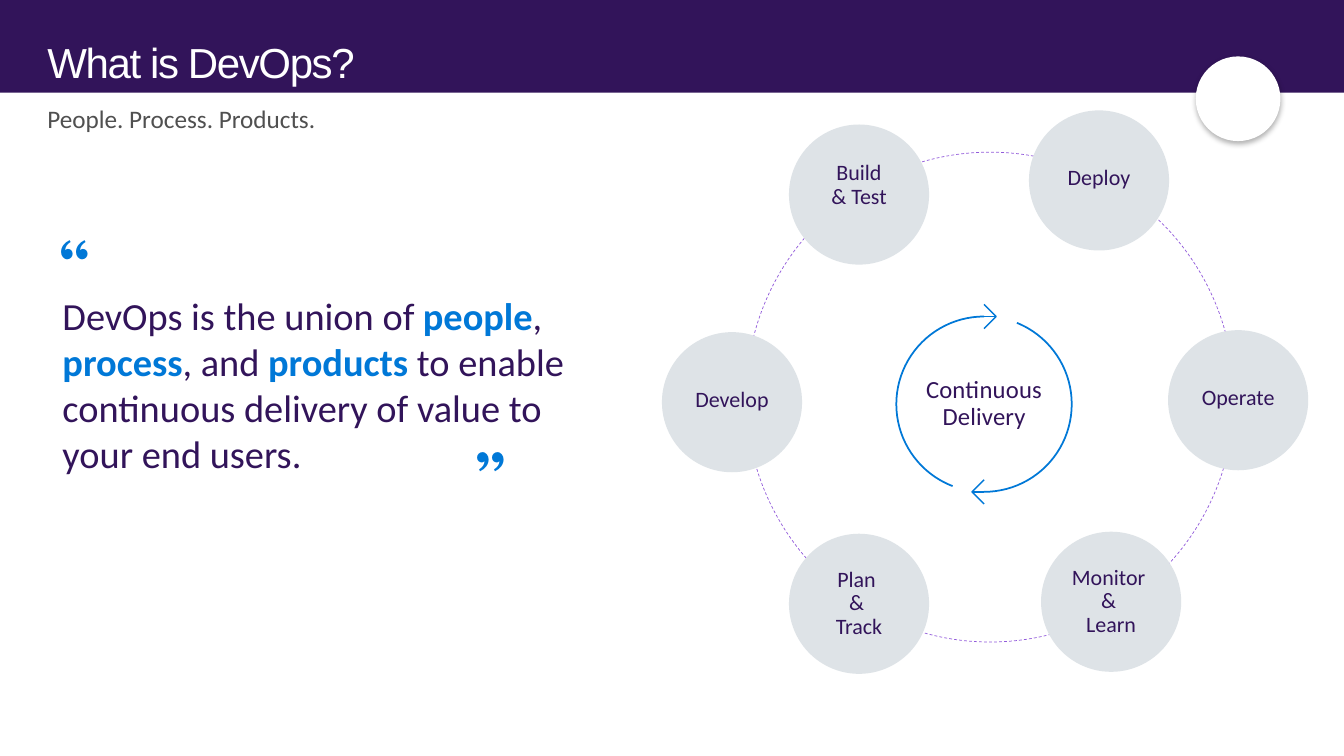
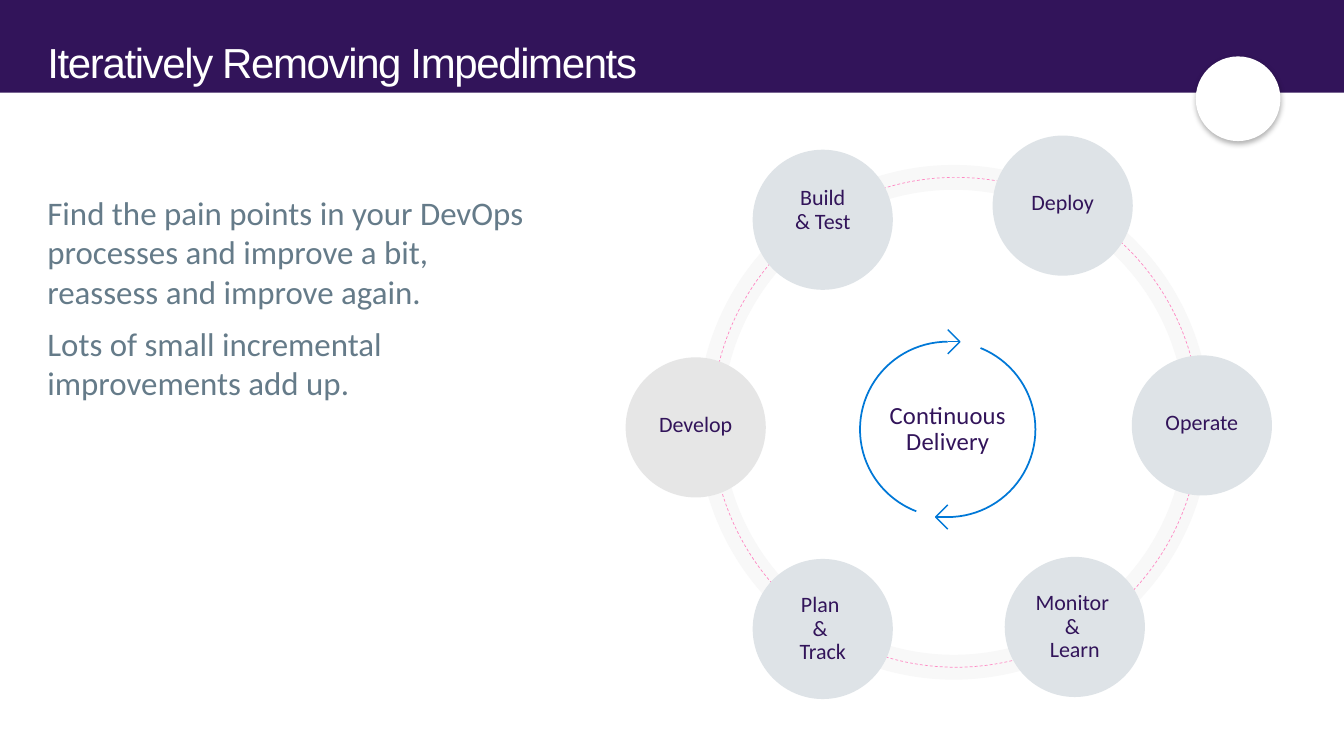
"""Build two DevOps slides around a continuous delivery wheel."""
from copy import deepcopy
from dataclasses import dataclass

from lxml import etree
from pptx import Presentation
from pptx.dml.color import RGBColor
from pptx.enum.dml import MSO_LINE
from pptx.enum.shapes import MSO_CONNECTOR, MSO_SHAPE
from pptx.enum.text import MSO_ANCHOR, MSO_AUTO_SIZE, PP_ALIGN
from pptx.oxml.ns import qn
from pptx.util import Inches, Pt

RECTANGLE, OVAL, ARC = MSO_SHAPE.RECTANGLE, MSO_SHAPE.OVAL, MSO_SHAPE.ARC
STRAIGHT = MSO_CONNECTOR.STRAIGHT
DASH = MSO_LINE.DASH
LEFT, CENTER = PP_ALIGN.LEFT, PP_ALIGN.CENTER
TOP, MIDDLE = MSO_ANCHOR.TOP, MSO_ANCHOR.MIDDLE
NO_FIT = MSO_AUTO_SIZE.NONE
TITLE_ONLY = 5


@dataclass(frozen=True)
class Theme:
    purple: str = "32145A"
    blue: str = "0078D7"
    white: str = "FFFFFF"
    gray: str = "505050"
    slate: str = "657B89"
    stage: str = "DEE3E7"
    stage_muted: str = "E6E6E6"
    ring_violet: str = "925BDB"
    ring_pink: str = "FF89C4"
    ring_band: str = "F8F8F8"
    heading_font: str = "Arial"
    body_font: str = "Calibri"
    quote_font: str = "TeX Gyre Bonum"
    title_size: float = 30
    subtitle_size: float = 18
    quote_size: float = 27.4
    mark_size: float = 62.7
    body_size: float = 23.5
    hub_size: float = 17.6
    stage_size: float = 15.7


THEME = Theme()


def write(frame, text, *, size, color=THEME.purple, font=THEME.body_font, align=LEFT,
          anchor=TOP, insets=(0, 0, 0, 0), wrap=True, leading=None, after=0, tracking=0):
    """Fill a frame with paragraphs; *starred* words are emphasised."""
    frame.word_wrap, frame.auto_size, frame.vertical_anchor = wrap, NO_FIT, anchor
    (frame.margin_left, frame.margin_top,
     frame.margin_right, frame.margin_bottom) = map(Inches, insets)
    for index, content in enumerate(text if isinstance(text, list) else [text]):
        paragraph = frame.add_paragraph() if index else frame.paragraphs[0]
        paragraph.alignment = align
        paragraph.space_after = Pt(after)
        if leading:
            paragraph.line_spacing = leading
        for line_number, line in enumerate(content.split("\n")):
            if line_number:
                paragraph.add_line_break()
            for part, words in enumerate(line.split("*")):
                run = paragraph.add_run()
                run.text = words
                emphasised = part % 2 == 1
                run.font.size, run.font.name, run.font.bold = Pt(size), font, emphasised
                run.font.color.rgb = RGBColor.from_string(THEME.blue if emphasised else color)
                if tracking:
                    run.font._element.set("spc", str(round(tracking * 100)))
        for line_break in paragraph._p.findall(qn("a:br")):
            line_break.append(deepcopy(run.font._element))


def paint(shape, fill=None, line=None, width=1, dash=None):
    """Set fill and outline, and drop the default shadow."""
    shape.shadow.inherit = False
    if fill:
        shape.fill.solid()
        shape.fill.fore_color.rgb = RGBColor.from_string(fill)
    else:
        shape.fill.background()
    if line:
        shape.line.color.rgb = RGBColor.from_string(line)
        shape.line.width = Pt(width)
        shape.line.dash_style = dash
    else:
        shape.line.fill.background()


deck = Presentation()
deck.slide_width, deck.slide_height = Inches(13.33), Inches(7.5)
layout = deck.slide_layouts[TITLE_ONLY]
layout_title = layout.placeholders[0]
layout_title.left, layout_title.top = Inches(0.47), Inches(0.24)
layout_title.width, layout_title.height = Inches(12.4), Inches(0.81)

wheels = [
    {"title": "What is DevOps?", "hub": (9.76, 4.01), "develop": THEME.stage,
     "rings": [(0.06, THEME.ring_violet, 0.5, DASH)]},
    {"title": "Iteratively Removing Impediments", "hub": (9.4, 4.26),
     "develop": THEME.stage_muted,
     "rings": [(0.06, THEME.ring_band, 17.75, None), (0.08, THEME.ring_pink, 0.5, DASH)]},
]
stages = [
    ("Build\n& Test", -1.24, -2.08, 0.18),
    ("Deploy", 1.14, -2.22, 0.04),
    ("Operate", 2.52, -0.04, 0.04),
    ("Monitor \n& \nLearn", 1.26, 1.96, 0),
    ("Plan \n& \nTrack", -1.24, 1.98, 0),
    ("Develop", -2.5, -0.02, 0.04),
]
STAGE_SIZE = 1.39
RING_WIDTH, RING_HEIGHT, RING_RISE = 4.84, 4.86, 0.07
HUB_RADIUS = 0.87
HUB_LABEL_WIDTH, HUB_LABEL_HEIGHT = 1.81, 1.22
ARROW_LENGTH, ARROW_HALF = 0.12, 0.12
ARC_UNITS_PER_DEGREE = 0.6

for wheel in wheels:
    slide = deck.slides.add_slide(layout)
    shapes = slide.shapes
    write(shapes.title.text_frame, wheel["title"], size=THEME.title_size, color=THEME.white,
          font=THEME.heading_font, insets=(0, 0.18, 0, 0), leading=0.9, tracking=-1)
    hub_x, hub_y = wheel["hub"]

    for shift, color, width, dash in wheel["rings"]:
        ring = shapes.add_shape(
            OVAL, Inches(hub_x + shift - RING_WIDTH / 2),
            Inches(hub_y - RING_RISE - RING_HEIGHT / 2), Inches(RING_WIDTH), Inches(RING_HEIGHT))
        paint(ring, line=color, width=width, dash=dash)

    hub_label = shapes.add_textbox(
        Inches(hub_x - HUB_LABEL_WIDTH / 2), Inches(hub_y - HUB_LABEL_HEIGHT / 2),
        Inches(HUB_LABEL_WIDTH), Inches(HUB_LABEL_HEIGHT))
    write(hub_label.text_frame, "Continuous\nDelivery", size=THEME.hub_size, align=CENTER,
          anchor=MIDDLE, leading=0.9, tracking=0.1)

    for direction, start, end in ((1, 111, 270), (-1, 292, 90)):
        arc = shapes.add_shape(ARC, Inches(hub_x - HUB_RADIUS), Inches(hub_y - HUB_RADIUS),
                               Inches(2 * HUB_RADIUS), Inches(2 * HUB_RADIUS))
        arc.adjustments[0] = start * ARC_UNITS_PER_DEGREE
        arc.adjustments[1] = end * ARC_UNITS_PER_DEGREE
        paint(arc, line=THEME.blue, width=1.25)

        arrow_y = hub_y - direction * HUB_RADIUS
        tip_x = hub_x + direction * ARROW_LENGTH
        outline = shapes.build_freeform(Inches(hub_x), Inches(arrow_y - ARROW_HALF))
        outline.add_line_segments([(Inches(tip_x), Inches(arrow_y)),
                                   (Inches(hub_x), Inches(arrow_y + ARROW_HALF))], close=False)
        paint(outline.convert_to_shape(), line=THEME.blue)
        shaft = shapes.add_connector(STRAIGHT, Inches(hub_x), Inches(arrow_y),
                                     Inches(tip_x), Inches(arrow_y))
        shaft.line.color.rgb = RGBColor.from_string(THEME.blue)
        shaft.line.width = Pt(1)
        etree.SubElement(shaft._element.spPr, qn("a:effectLst"))

    for name, across, down, lift in stages:
        stage = shapes.add_shape(
            OVAL, Inches(hub_x + across - STAGE_SIZE / 2), Inches(hub_y + down - STAGE_SIZE / 2),
            Inches(STAGE_SIZE), Inches(STAGE_SIZE))
        paint(stage, fill=wheel["develop"] if name == "Develop" else THEME.stage)
        write(stage.text_frame, name, size=THEME.stage_size, align=CENTER, anchor=MIDDLE,
              insets=(0, 0, 0, lift), leading=0.9)

definition, improvement = deck.slides
mark_format = {"size": THEME.mark_size, "color": THEME.blue, "font": THEME.quote_font,
               "insets": (0.1, 0.05, 0.1, 0.05), "wrap": False, "tracking": -0.1}
statements = [
    (definition, (0.47, 1.03, 12.4, 0.3), "People. Process. Products.",
     {"size": THEME.subtitle_size, "color": THEME.gray}),
    (definition, (0.47, 2.07, 5.8, 4.25),
     "DevOps is the union of *people*, *process*, and *products* to enable "
     "continuous delivery of value to your end users.",
     {"size": THEME.quote_size, "insets": (0.15, 0.83, 0.2, 0.16)}),
    (definition, (0.47, 2.07, 0.85, 1.18), "“", mark_format),
    (definition, (4.6, 4.17, 0.83, 1.15), "”", mark_format),
    (improvement, (0.47, 1.91, 4.87, 2.1),
     ["Find the pain points in your DevOps processes and improve a bit, "
      "reassess and improve again.",
      "Lots of small incremental improvements add up."],
     {"size": THEME.body_size, "color": THEME.slate, "after": 8.8}),
]
for slide, box, text, text_format in statements:
    statement = slide.shapes.add_textbox(*map(Inches, box))
    write(statement.text_frame, text, **text_format)

band = definition.shapes.add_shape(RECTANGLE, 0, 0, deck.slide_width, Inches(0.92))
paint(band, fill=THEME.purple)
badge = definition.shapes.add_shape(OVAL, Inches(11.86), Inches(0.56), Inches(0.84), Inches(0.84))
paint(badge, fill=THEME.white)
shadow = etree.SubElement(badge._element.spPr.find(qn("a:effectLst")), qn("a:outerShdw"),
                          blurRad=str(Pt(4)), dist=str(Pt(2)), dir="5400000", rotWithShape="0")
shadow_color = etree.SubElement(shadow, qn("a:srgbClr"), val="000000")
etree.SubElement(shadow_color, qn("a:alpha"), val="30000")
for position, backdrop in enumerate((band, badge), start=2):
    layout.shapes._spTree.insert(position, backdrop._element)

deck.save("out.pptx")
